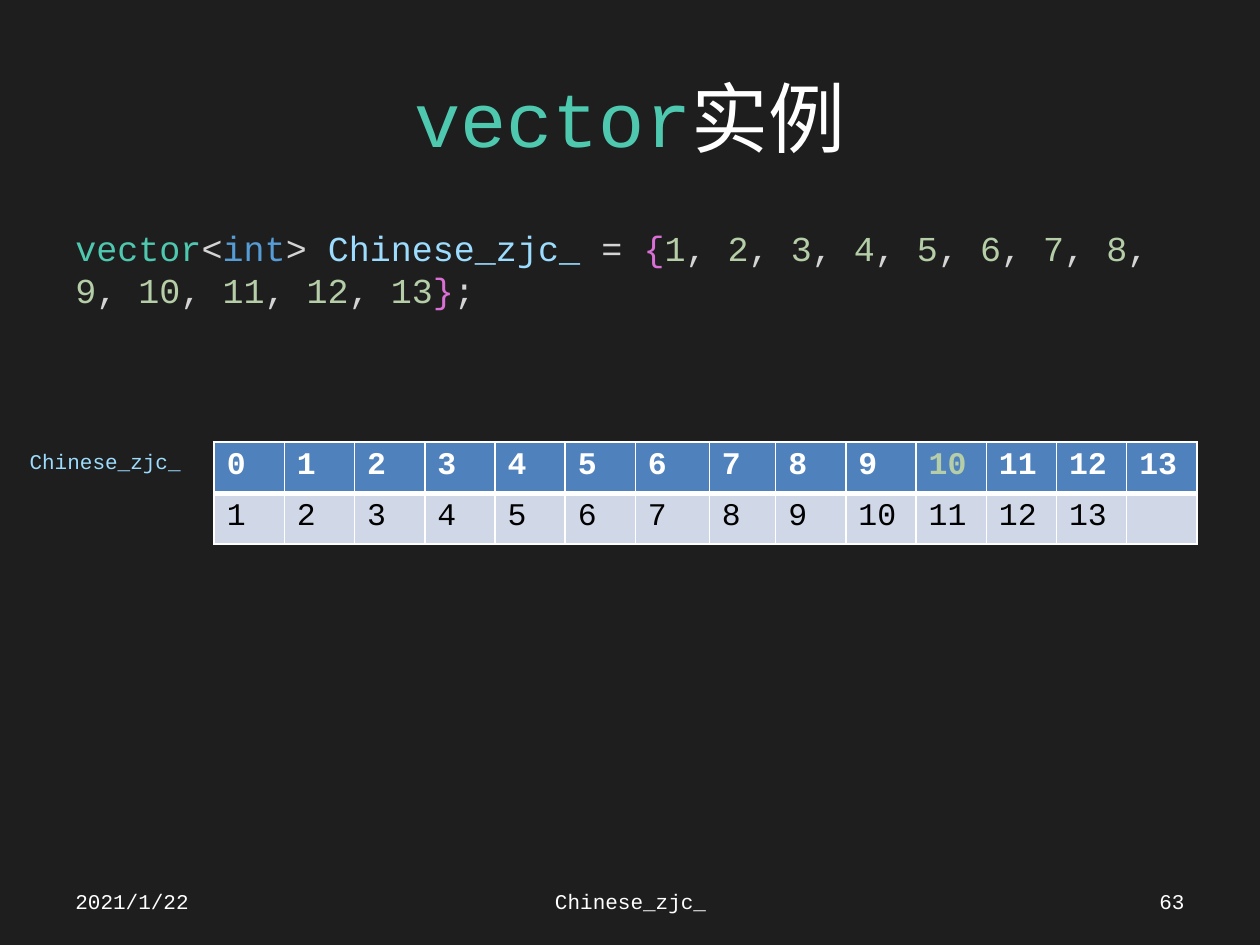
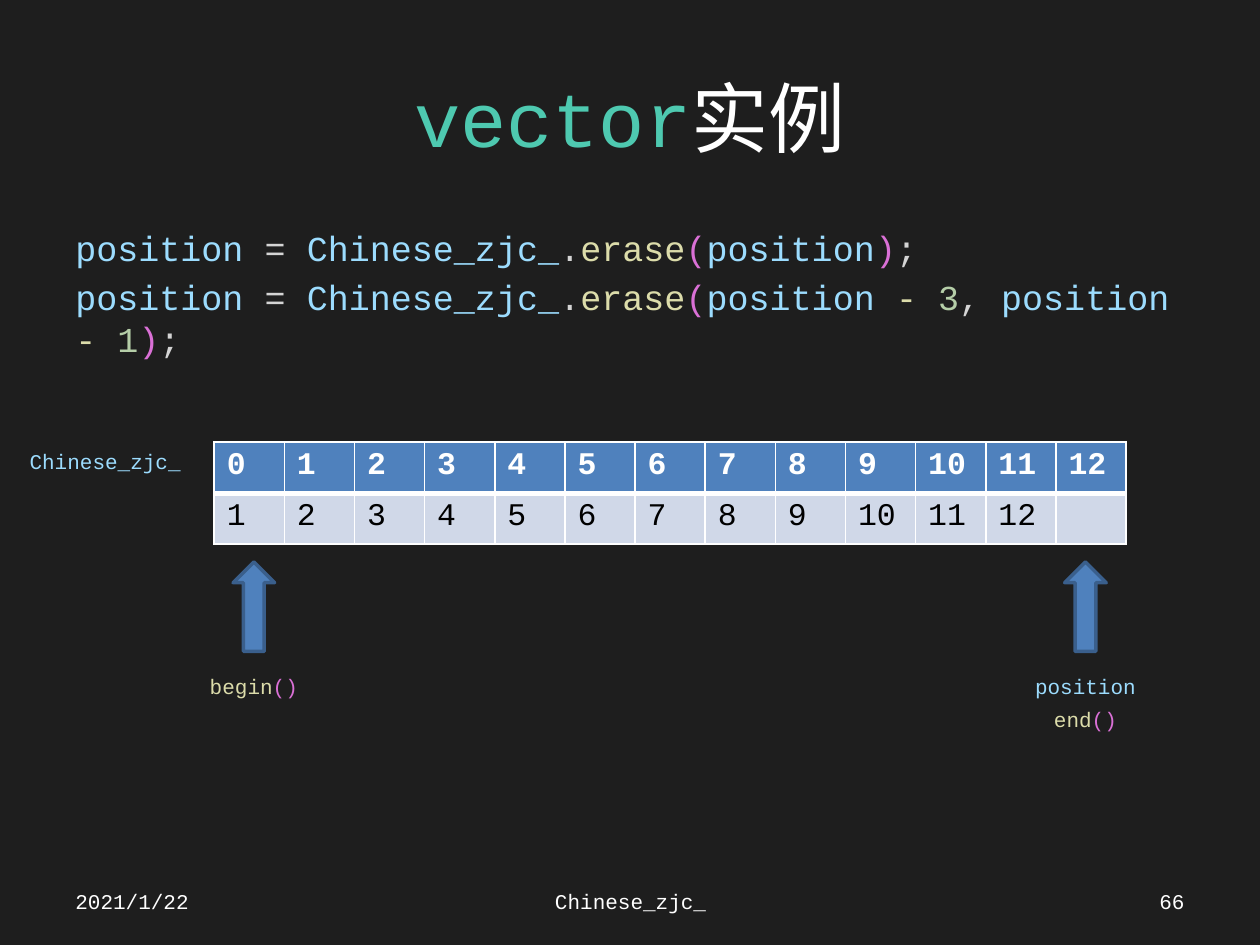
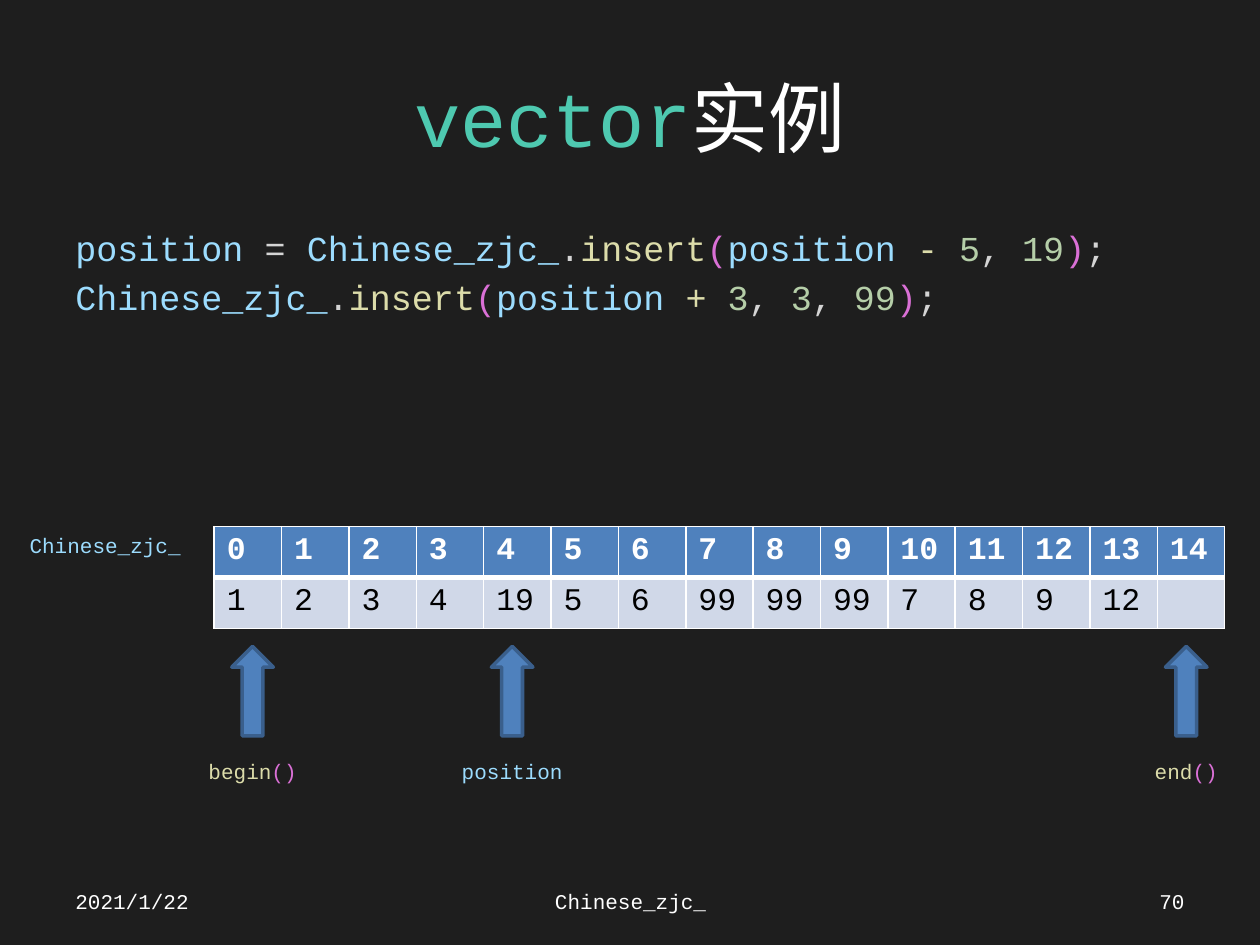
from lxml import etree
from pptx import Presentation
from pptx import util as u
from pptx.dml.color import RGBColor
from pptx.enum import shapes, text
from pptx.oxml import ns

BACKGROUND = RGBColor(0x1E, 0x1E, 0x1E)
WHITE = RGBColor(0xFF, 0xFF, 0xFF)
BLACK = RGBColor(0x00, 0x00, 0x00)
PLAIN = RGBColor(0xD4, 0xD4, 0xD4)
TYPE = RGBColor(0x4E, 0xC9, 0xB0)
KEYWORD = RGBColor(0x56, 0x9C, 0xD6)
VARIABLE = RGBColor(0x9C, 0xDC, 0xFE)
FUNCTION = RGBColor(0xDC, 0xDC, 0xAA)
BRACKET = RGBColor(0xDA, 0x70, 0xD6)
NUMBER = RGBColor(0xB5, 0xCE, 0xA8)
HEADER_FILL = RGBColor(0x4F, 0x81, 0xBD)
VALUE_FILL = RGBColor(0xD0, 0xD8, 0xE8)
ARROW_LINE = RGBColor(0x3A, 0x5F, 0x8C)

CODE_FONT = "Courier New"
CHINESE_FONT = "Noto Sans CJK SC"
LEFT, CENTER, RIGHT = text.PP_ALIGN.LEFT, text.PP_ALIGN.CENTER, text.PP_ALIGN.RIGHT
TOP, MIDDLE = text.MSO_ANCHOR.TOP, text.MSO_ANCHOR.MIDDLE

TOKEN_COLORS = {"vector": TYPE, "实例": WHITE, "int": KEYWORD}
TOKEN_COLORS.update(dict.fromkeys(("position", "Chinese_zjc_"), VARIABLE))
TOKEN_COLORS.update(dict.fromkeys(("erase", "insert", "begin", "end", "+", "-"), FUNCTION))
TOKEN_COLORS.update(dict.fromkeys(("(", ")", "()", "{", "}"), BRACKET))


def write(frame, content, size=12, color=None, bold=False, align=LEFT, anchor=TOP, before=0):
    """Write lines of |-separated tokens, coloured by syntax unless color is given."""
    frame.word_wrap = True
    frame.vertical_anchor = anchor
    for index, line in enumerate(content.split("\n")):
        paragraph = frame.paragraphs[0] if index == 0 else frame.add_paragraph()
        paragraph.alignment = align
        paragraph.space_before = u.Pt(before)
        for token in line.split("|"):
            run = paragraph.add_run()
            run.text = token
            font = run.font
            font.size = u.Pt(size)
            font.bold = bold
            font.name = CHINESE_FONT if token == "实例" else CODE_FONT
            etree.SubElement(font._element, ns.qn("a:ea"), typeface=font.name)
            syntax = NUMBER if token.isdigit() else TOKEN_COLORS.get(token.strip(), PLAIN)
            font.color.rgb = color or syntax


def add_text(parent, content, left, top, width, height, **style):
    box = parent.add_textbox(*map(u.Inches, (left, top, width, height)))
    write(box.text_frame, content, **style)


numbers = "|, |".join(str(n) for n in range(1, 14))
examples = [
    {
        "page": "63",
        "code": "vector|<|int|> |Chinese_zjc_| = |{|" + numbers + "|}|;",
        "code_height": 0.9,
        "values": list(range(1, 14)),
        "table_top": 3.51,
        "table_width": 7.8,
        "pointers": [],
    },
    {
        "page": "66",
        "code": "position |= |Chinese_zjc_|.|erase|(|position|)|;\n"
                "position |= |Chinese_zjc_|.|erase|(|position |- |3|, |position |- |1|)|;",
        "code_height": 1.13,
        "values": list(range(1, 13)),
        "table_top": 3.51,
        "table_width": 7.24,
        "pointers": [(8.45, ["position", "end|()"]), (1.85, ["begin|()"])],
    },
    {
        "page": "70",
        "code": "position |= |Chinese_zjc_|.|insert|(|position |- |5|, |19|)|;\n"
                "Chinese_zjc_|.|insert|(|position |+ |3|, |3|, |99|)|;",
        "code_height": 0.94,
        "values": [1, 2, 3, 4, 19, 5, 6, 99, 99, 99, 7, 8, 9, 12],
        "table_top": 4.18,
        "table_width": 8.02,
        "pointers": [(9.25, ["end|()"]), (1.84, ["begin|()"]), (3.9, ["position"])],
    },
]

deck = Presentation()
deck.slide_width, deck.slide_height = u.Inches(10), u.Inches(7.5)

for example in examples:
    slide = deck.slides.add_slide(deck.slide_layouts[6])
    slide.background.fill.solid()
    slide.background.fill.fore_color.rgb = BACKGROUND
    add_text(slide.shapes, "vector|实例", 0.5, 0.3, 9, 1.25, size=44, align=CENTER, anchor=MIDDLE)
    add_text(slide.shapes, example["code"], 0.5, 1.75, 9, example["code_height"], size=20, before=4)

    values, table_top = example["values"], example["table_top"]
    count = len(values) + 1
    vector_table = slide.shapes.add_table(
        2, count, u.Inches(1.7), u.Inches(table_top),
        u.Inches(example["table_width"]), u.Inches(0.81)).table
    for column in vector_table.columns:
        column.width = u.Inches(example["table_width"] / count)
    if example["page"] == "63":
        vector_table.columns[6].width += u.Inches(0.03)
        vector_table.columns[7].width -= u.Inches(0.03)

    for row, entries in enumerate((list(range(count)), values + [""])):
        for column, entry in enumerate(entries):
            cell = vector_table.cell(row, column)
            properties = cell._tc.get_or_add_tcPr()
            for side in ("lnL", "lnR", "lnT", "lnB"):
                points = 3 if side == ("lnB", "lnT")[row] else 1
                border = etree.SubElement(properties, ns.qn("a:" + side), w=str(u.Pt(points)))
                paint = etree.SubElement(border, ns.qn("a:solidFill"))
                etree.SubElement(paint, ns.qn("a:srgbClr"), val=str(WHITE))
            cell.fill.solid()
            cell.fill.fore_color.rgb = (HEADER_FILL, VALUE_FILL)[row]
            entry_color = (WHITE, BLACK)[row]
            if example["page"] == "63" and row == 0 and entry == 10:
                entry_color = NUMBER
            if entry != "":
                write(cell.text_frame, str(entry), size=18, color=entry_color, bold=row == 0)

    add_text(slide.shapes, "Chinese_zjc_", 0.12, table_top, 1.43, 0.3, align=CENTER)

    for arrow_left, labels in example["pointers"]:
        pointer = slide.shapes.add_group_shape().shapes
        arrow = pointer.add_shape(
            shapes.MSO_SHAPE.UP_ARROW, u.Inches(arrow_left), u.Inches(table_top + 0.95),
            u.Inches(0.33), u.Inches(0.71))
        arrow.shadow.inherit = False
        arrow.fill.solid()
        arrow.fill.fore_color.rgb = HEADER_FILL
        arrow.line.color.rgb = ARROW_LINE
        arrow.line.width = u.Pt(2)
        for index, label in enumerate(labels):
            add_text(pointer, label, arrow_left - 0.55, table_top + 1.79 + 0.26 * index,
                     1.43, 0.3, align=CENTER)

    for content, left, width, align in (
            ("2021/1/22", 0.5, 2.33, LEFT),
            ("Chinese_zjc_", 3.42, 3.17, CENTER),
            (example["page"], 7.17, 2.33, RIGHT)):
        add_text(slide.shapes, content, left, 6.95, width, 0.4,
                 color=WHITE, align=align, anchor=MIDDLE)

deck.save("out.pptx")
